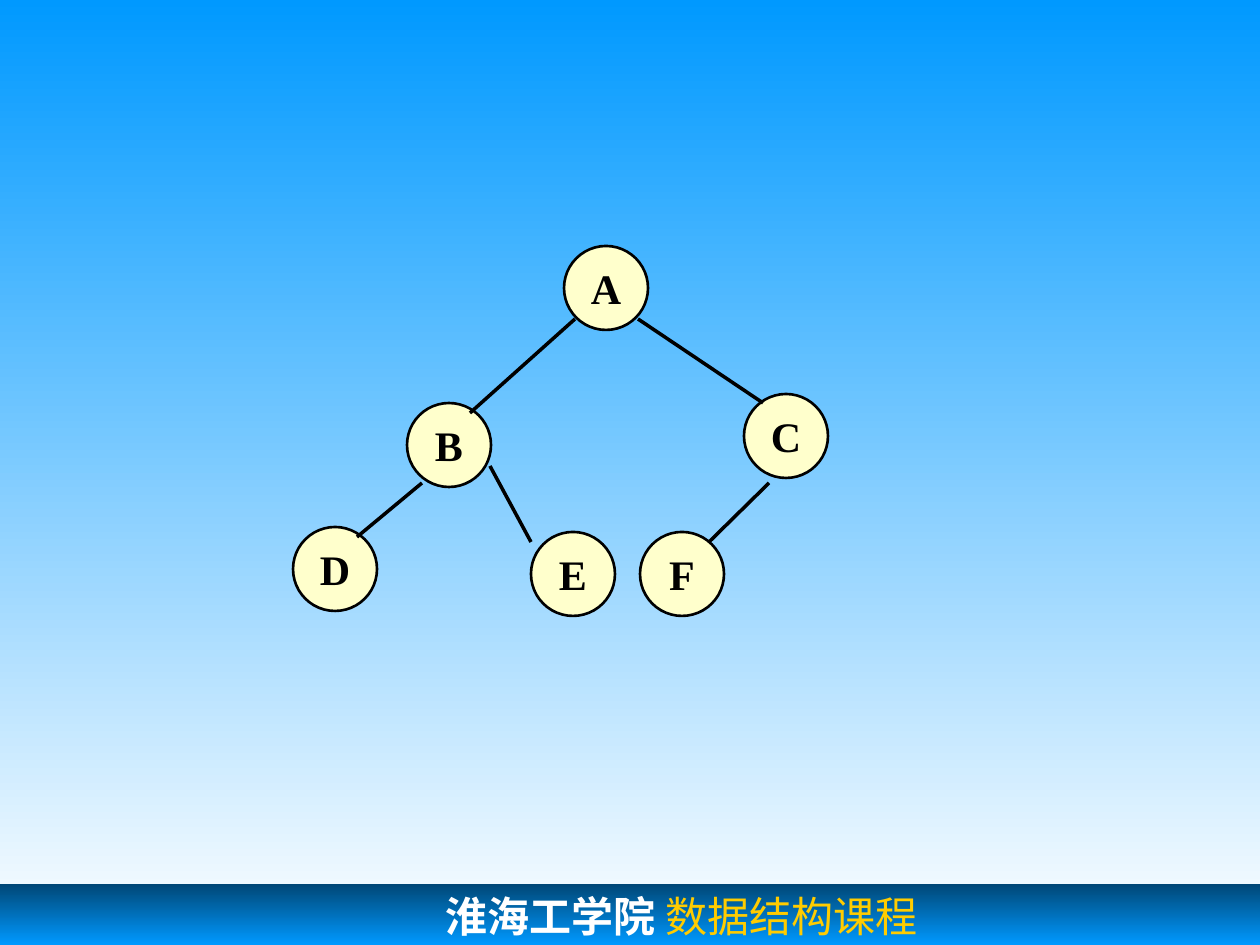
from lxml import etree
from pptx import Presentation
from pptx import util as u
from pptx.dml.color import RGBColor
from pptx.enum import shapes, text
from pptx.oxml.ns import qn


def px(length):
    return u.Emu(round(length * 914400 / 126))


def color(value):
    return RGBColor.from_string(value)


class TreeSlide:
    ink = "000000"
    node_fill = "FFFFCC"
    node_size = 84
    font = "Times New Roman"
    text_size = 24

    def __init__(self, deck):
        self.page = deck.slides.add_slide(deck.slide_layouts[6])

    def gradient(self, fill, start, end):
        fill.gradient()
        fill.gradient_angle = 270
        for stop, position, value in zip(fill.gradient_stops, (0, 1), (start, end)):
            stop.position = position
            stop.color.rgb = color(value)

    def background(self, start, end):
        self.gradient(self.page.background.fill, start, end)

    def style(self, span, value, font, bold):
        span.font.name = font
        span.font.size = u.Pt(self.text_size)
        span.font.bold = bold
        span.font.color.rgb = color(value)

    def footer(self, top, height, indent, spans):
        band = self.page.shapes.add_shape(
            shapes.MSO_SHAPE.RECTANGLE, 0, px(top), px(1260), px(height))
        band.shadow.inherit = False
        band.line.fill.background()
        self.gradient(band.fill, "004776", "0099FF")
        frame = band.text_frame
        frame.margin_left = px(indent)
        frame.vertical_anchor = text.MSO_ANCHOR.TOP
        para = frame.paragraphs[0]
        para.alignment = text.PP_ALIGN.LEFT
        for words, value, font, bold in spans:
            span = para.add_run()
            span.text = words
            self.style(span, value, font, bold)

    def node(self, label, left, top):
        circle = self.page.shapes.add_shape(
            shapes.MSO_SHAPE.OVAL, px(left), px(top),
            px(self.node_size), px(self.node_size))
        circle.shadow.inherit = False
        circle.fill.solid()
        circle.fill.fore_color.rgb = color(self.node_fill)
        circle.line.color.rgb = color(self.ink)
        circle.line.width = u.Pt(1.5)
        frame = circle.text_frame
        frame.text = label
        frame.word_wrap = False
        frame.vertical_anchor = text.MSO_ANCHOR.MIDDLE
        para = frame.paragraphs[0]
        para.alignment = text.PP_ALIGN.CENTER
        self.style(para.runs[0], self.ink, self.font, True)

    def edge(self, *ends):
        line = self.page.shapes.add_connector(
            shapes.MSO_CONNECTOR.STRAIGHT, *map(px, ends))
        line.line.color.rgb = color(self.ink)
        line.line.width = u.Pt(2)
        etree.SubElement(line._element.spPr, qn("a:effectLst"))


def main():
    deck = Presentation()
    deck.slide_width, deck.slide_height = px(1260), px(945)
    tree = TreeSlide(deck)
    tree.background("0099FF", "FFFFFF")
    tree.footer(884, 61, 446, [
        ("淮海工学院", "FFFFFF", "Courier New", True),
        (" 数据结构课程", "FFCC00", "Times New Roman", False),
    ])
    nodes = {
        "A": (564, 246),
        "B": (407, 403),
        "C": (744, 394),
        "D": (293, 527),
        "E": (531, 532),
        "F": (640, 532),
    }
    for label, place in nodes.items():
        tree.node(label, *place)
    edges = [
        (575, 319, 470, 413),
        (638, 319, 763, 403),
        (422, 483, 357, 537),
        (490, 466, 531, 542),
        (769, 483, 709, 542),
    ]
    for ends in edges:
        tree.edge(*ends)
    deck.save("out.pptx")


if __name__ == "__main__":
    main()
